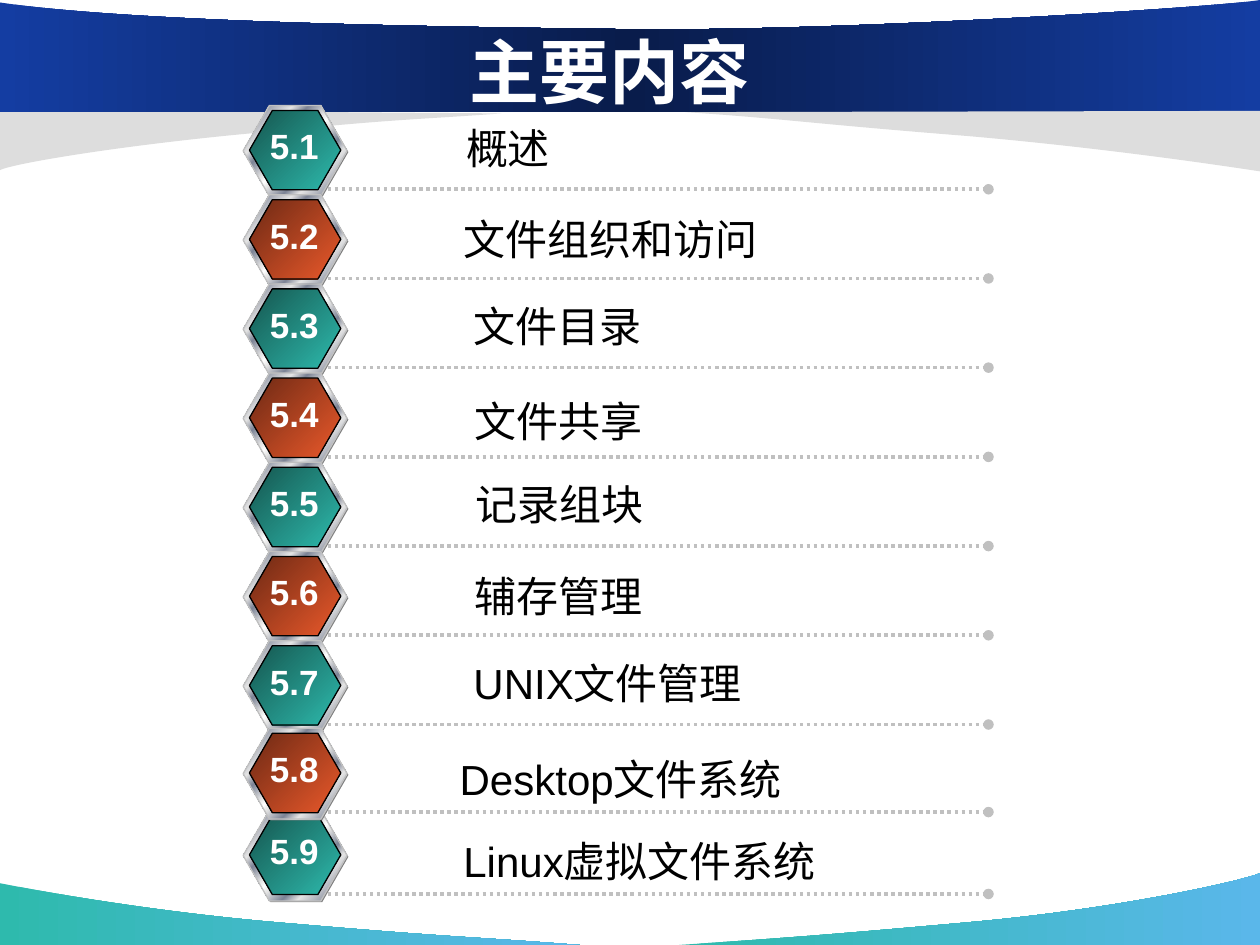
from lxml import etree
from pptx import Presentation
from pptx import util as u
from pptx.dml.color import RGBColor
from pptx.enum import dml, shapes, text
from pptx.oxml import ns

# Grid of 100 columns by 75 rows
WIDTH, HEIGHT = u.Inches(10), u.Inches(7.5)
COLS, ROWS = 100, 75

TEAL = [(0, "15564F"), (100, "2EBAAD")]
ORANGE = [(0, "6C2914"), (100, "EB592B")]
WAVE = [(0, "2EBAAD"), (100, "5AB7EA")]
BANNER = [(0, "143DA2"), (50, "091C4B"), (100, "143DA2")]
METAL = [(0, "E6E6E6"), (8, "7D8496"), (26, "E6E6E6"), (34, "7D8496"),
         (46, "E6E6E6"), (50, "FFFFFF"), (54, "E6E6E6"), (66, "7D8496"),
         (74, "E6E6E6"), (92, "7D8496"), (100, "E6E6E6")]

# Background bands: fill, then start point and steps (2 numbers: line, 6: curve)
BANDS = [
    (WAVE, [(46, 75), (38.4, 74.4, 35.8, 74.4, 23.2, 73.3),
            (10.6, 72.3, 0.1, 70.1, 0, 70.1), (0, 75)]),
    (WAVE, [(53.9, 75), (61.4, 74.5, 64.6, 74.3, 76.9, 73.2),
            (89.2, 72.1, 99, 69.8, 100, 69.3), (100, 75)]),
    ("DDDDDD", [(39.8, 9), (33.1, 9.5, 31.8, 9.4, 20.8, 10.5),
                (9.7, 11.5, 0.9, 13, 0, 13.5), (0, 8.7)]),
    (BANNER, [(0, 8.9), (100, 8.9), (100, 0), (96.4, 0.6, 65.3, 2.6, 48.7, 2.3),
              (32.1, 2.1, 10.1, 1.7, 0, 0.2)]),
    ("DDDDDD", [(54.4, 8.9), (62, 9.4, 64.2, 9.8, 76.8, 10.8),
                (89.4, 11.9, 99.9, 13.6, 100, 13.6), (100, 8.8)]),
]

# Chapter entries: wording, left, top and width of the label
ROW_TOP, ROW_STEP = 8.37, 7.08
LAST_TOPS = {7: 57.8, 8: 64.3}
GROUPED_LABELS = (0, 4)
ENTRIES = [
    ("概述", 36, 9.2, 36.9),
    ("文件组织和访问", 35.8, 16.45, 33.8),
    ("文件目录", 36.6, 23.35, 34.7),
    ("文件共享", 36.7, 30.9, 22),
    ("记录组块", 36.75, 37.5, 38.5),
    ("辅存管理", 36.7, 44.8, 33.8),
    ("UNIX文件管理", 36.6, 51.7, 34.7),
    ("Desktop文件系统", 35.5, 59.3, 34.7),
    ("Linux虚拟文件系统", 35.8, 65.8, 34.7),
]


def col(n):
    return round(n * WIDTH / COLS)


def row(n):
    return round(n * HEIGHT / ROWS)


def color(hex_value):
    return RGBColor.from_string(hex_value)


def paint(sp, fill, angle=0):
    """Fill with one colour, or with a gradient given as (percent, colour) stops."""
    sp.shadow.inherit = False
    if isinstance(fill, str):
        sp.fill.solid()
        sp.fill.fore_color.rgb = color(fill)
        return
    sp.fill.gradient()
    grad = sp._element.spPr.find(ns.qn("a:gradFill"))
    for child in list(grad):
        grad.remove(child)
    stops = etree.SubElement(grad, ns.qn("a:gsLst"))
    for percent, value in fill:
        stop = etree.SubElement(stops, ns.qn("a:gs"), pos=str(percent * 1000))
        etree.SubElement(stop, ns.qn("a:srgbClr"), val=value)
    etree.SubElement(grad, ns.qn("a:lin"), ang=str(angle * 60000), scaled="0")


def outline(sp, value=None, width=0.75):
    if value is None:
        sp.line.fill.background()
    else:
        sp.line.color.rgb = color(value)
        sp.line.width = u.Pt(width)


def bend(sp, steps):
    """Join the three segments of each curve step into one cubic curve."""
    segments = iter(sp._element.spPr.findall(".//" + ns.qn("a:lnTo")))
    for step in steps:
        first, *others = [next(segments) for _ in range(len(step) // 2)]
        if others:
            cubic = etree.Element(ns.qn("a:cubicBezTo"))
            first.addprevious(cubic)
            for segment in (first, *others):
                cubic.append(segment[0])
                segment.getparent().remove(segment)


def add_band(s, fill, steps):
    points = [(col(step[i]), row(step[i + 1]))
              for step in steps for i in range(0, len(step), 2)]
    builder = s.shapes.build_freeform(*points[0])
    builder.add_line_segments(points[1:], close=True)
    sp = builder.convert_to_shape()
    bend(sp, steps[1:])
    paint(sp, fill)
    outline(sp)


def add_text(parent, words, x, y, w, h, size, value="000000", bold=False,
             align=text.PP_ALIGN.LEFT, wrap=True, title=False):
    sp = parent.shapes.add_textbox(col(x), row(y), col(w), row(h))
    tf = sp.text_frame
    tf.word_wrap = wrap
    if title:
        tf.vertical_anchor = text.MSO_ANCHOR.MIDDLE
    else:
        tf.auto_size = text.MSO_AUTO_SIZE.SHAPE_TO_FIT_TEXT
    p = tf.paragraphs[0]
    p.alignment = align
    r = p.add_run()
    r.text = words
    r.font.name = "Arial"
    r.font.size = u.Pt(size)
    r.font.bold = bold
    r.font.color.rgb = color(value)


def add_hexagon(group, x, y, w, h, fill, line=None):
    sp = group.shapes.add_shape(shapes.MSO_SHAPE.HEXAGON, col(x), row(y), col(w), row(h))
    sp.adjustments[0] = 0.289
    sp.adjustments[1] = 1.155
    paint(sp, fill, 45)
    outline(sp, line)


def add_dotted_line(group, x1, x2, y):
    sp = group.shapes.add_connector(shapes.MSO_CONNECTOR.STRAIGHT,
                                    col(x1), row(y), col(x2), row(y))
    outline(sp, "C0C0C0", 2)
    sp.line.dash_style = dml.MSO_LINE.ROUND_DOT
    etree.SubElement(sp.line._get_or_add_ln(), ns.qn("a:tailEnd"), type="oval")
    etree.SubElement(sp._element.spPr, ns.qn("a:effectLst"))


def add_entry(s, index):
    words, label_x, label_y, label_w = ENTRIES[index]
    top = LAST_TOPS.get(index, ROW_TOP + index * ROW_STEP)
    group = s.shapes.add_group_shape()
    # Hexagon badge: shade, metal rim, coloured face
    add_hexagon(group, 19.4, top + 0.1, 8.25, 7.2, "808080")
    add_hexagon(group, 19.3, top, 8.25, 7.2, METAL, "C0C0C0")
    add_hexagon(group, 19.8, top + 0.4, 7.25, 6.3, ORANGE if index % 2 else TEAL, "000000")
    add_dotted_line(group, 26, 78.45, top + 6.65)
    add_text(group, f"5.{index + 1}", 20.4, top + 1.05, 5.9, 4.4, 20, "FFFFFF", True,
             text.PP_ALIGN.CENTER, wrap=False)
    # Chapter name
    add_text(group if index in GROUPED_LABELS else s,
             words, label_x, label_y, label_w, 5, 24)


def main():
    prs = Presentation()
    prs.slide_width, prs.slide_height = WIDTH, HEIGHT
    s = prs.slides.add_slide(prs.slide_layouts[6])
    for fill, steps in BANDS:
        add_band(s, fill, steps)
    add_text(s, "主要内容", 9.2, 2.5, 78.3, 6.2, 40, "FFFFFF", True,
             text.PP_ALIGN.CENTER, title=True)
    # The eighth badge overlaps the ninth
    for index in (0, 1, 2, 3, 4, 5, 6, 8, 7):
        add_entry(s, index)
    prs.save("out.pptx")


if __name__ == "__main__":
    main()
